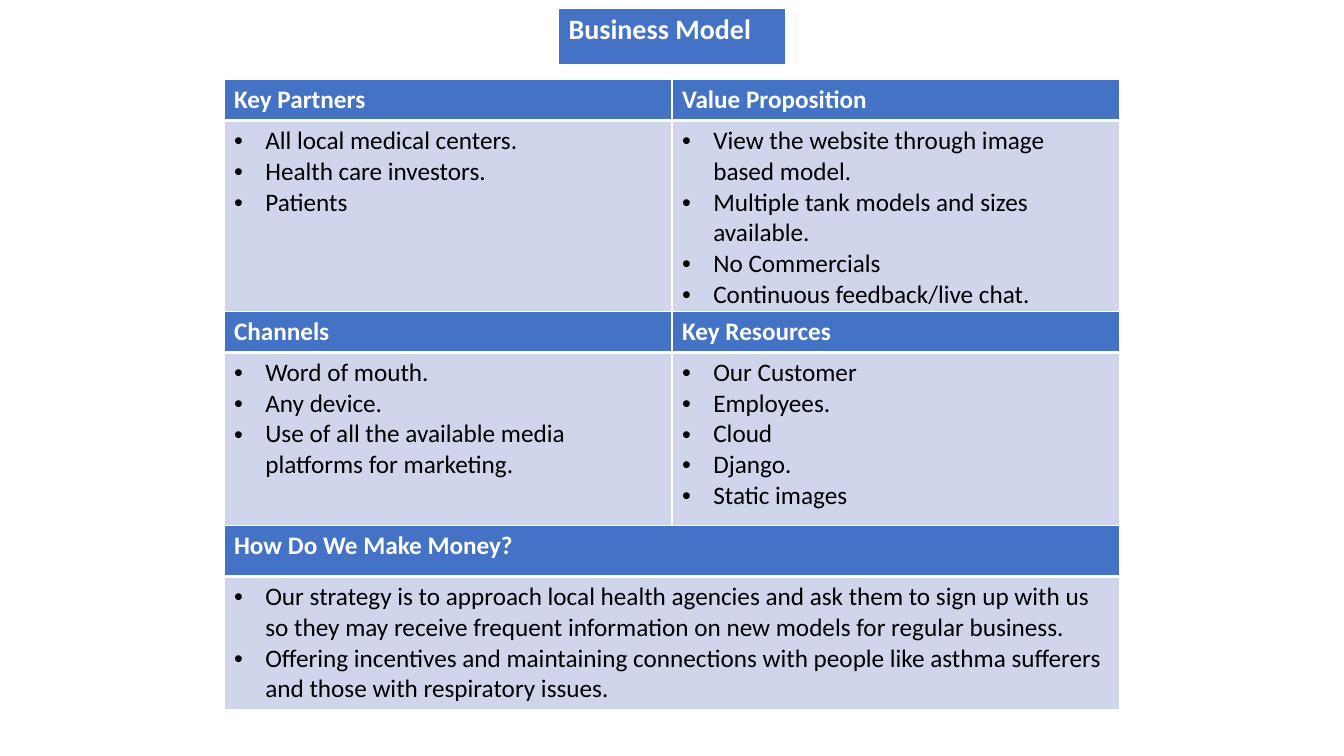
from lxml import etree
from pptx import Presentation
from pptx.dml.color import RGBColor
from pptx.oxml import ns
from pptx.util import Inches, Pt

# Content: each band has a top, a header height, a body height and its columns
TITLE = "Business Model"
BANDS = [
    (0.79, 0.4, 1.9, [
        ("Key Partners", [
            "All local medical centers.",
            "Health care investors.",
            "Patients"]),
        ("Value Proposition", [
            "View the website through image based model.",
            "Multiple tank models and sizes available.",
            "No Commercials",
            "Continuous feedback/live chat."]),
    ]),
    (3.09, 0.4, 1.9, [
        ("Channels", [
            "Word of mouth.",
            "Any device.",
            "Use of all the available media platforms for marketing."]),
        ("Key Resources", [
            "Our Customer",
            "Employees.",
            "Cloud",
            "Django.",
            "Static images"]),
    ]),
    (5.21, 0.51, 1.3, [
        ("How Do We Make Money?", [
            "Our strategy is to approach local health agencies and ask them to sign up "
            "with us so they may receive frequent information on new models for "
            "regular business.",
            "Offering incentives and maintaining connections with people like asthma "
            "sufferers and those with respiratory issues."]),
    ]),
]

# Style
FONT = "Calibri"
BLUE = RGBColor(0x44, 0x72, 0xC4)
PALE = RGBColor(0xCF, 0xD5, 0xEA)
WHITE = RGBColor(0xFF, 0xFF, 0xFF)
BLACK = RGBColor(0, 0, 0)
SLIDE_WIDTH, SLIDE_HEIGHT = 13.33, 7.5
CANVAS_WIDTH = SLIDE_WIDTH * 2 / 3
TITLE_WIDTH, TITLE_TOP, TITLE_HEIGHT = 2.25, 0.08, 0.57
TITLE_SIZE, TEXT_SIZE = 20, 18
BULLET_INDENT = Inches(0.31)


def add_bullet(paragraph):
    properties = paragraph._p.get_or_add_pPr()
    properties.set("marL", str(BULLET_INDENT))
    properties.set("indent", str(-BULLET_INDENT))
    etree.SubElement(properties, ns.qn("a:buFont")).set("typeface", "Arial")
    etree.SubElement(properties, ns.qn("a:buChar")).set("char", "•")


def set_borders(cell, top, bottom):
    properties = cell._tc.get_or_add_tcPr()
    for side, points in (("L", 1), ("R", 1), ("T", top), ("B", bottom)):
        line = etree.SubElement(properties, ns.qn("a:ln" + side))
        line.set("w", str(Pt(points)))
        fill = etree.SubElement(line, ns.qn("a:solidFill"))
        etree.SubElement(fill, ns.qn("a:srgbClr")).set("val", str(WHITE))


def fill_cell(cell, lines, is_header, size=TEXT_SIZE):
    # Borders come before the fill in the cell's properties
    set_borders(cell, *((1, 3) if is_header else (3, 1)))
    cell.fill.solid()
    cell.fill.fore_color.rgb = BLUE if is_header else PALE
    cell.text_frame.text = "\n".join(lines)
    for paragraph in cell.text_frame.paragraphs:
        if not is_header:
            add_bullet(paragraph)
        for run in paragraph.runs:
            run.font.name = FONT
            run.font.size = Pt(size)
            run.font.bold = is_header
            run.font.color.rgb = WHITE if is_header else BLACK


def add_centered_table(slide, top, width, row_heights, column_count):
    table = slide.shapes.add_table(
        len(row_heights), column_count, Inches((SLIDE_WIDTH - width) / 2),
        Inches(top), Inches(width), Inches(sum(row_heights))).table
    for row, height in zip(table.rows, row_heights):
        row.height = Inches(height)
    return table


def add_band(slide, top, header_height, body_height, columns):
    table = add_centered_table(
        slide, top, CANVAS_WIDTH, (header_height, body_height), len(columns))
    for index, (heading, points) in enumerate(columns):
        fill_cell(table.cell(0, index), [heading], True)
        fill_cell(table.cell(1, index), points, False)


def main():
    presentation = Presentation()
    presentation.slide_width = Inches(SLIDE_WIDTH)
    presentation.slide_height = Inches(SLIDE_HEIGHT)
    slide = presentation.slides.add_slide(presentation.slide_layouts[6])

    # Each band covers the spare foot of the one above it
    for band in BANDS:
        add_band(slide, *band)

    # The heading is a table of one cell
    heading = add_centered_table(slide, TITLE_TOP, TITLE_WIDTH, (TITLE_HEIGHT,), 1)
    fill_cell(heading.cell(0, 0), [TITLE], True, TITLE_SIZE)
    presentation.save("out.pptx")


if __name__ == "__main__":
    main()
